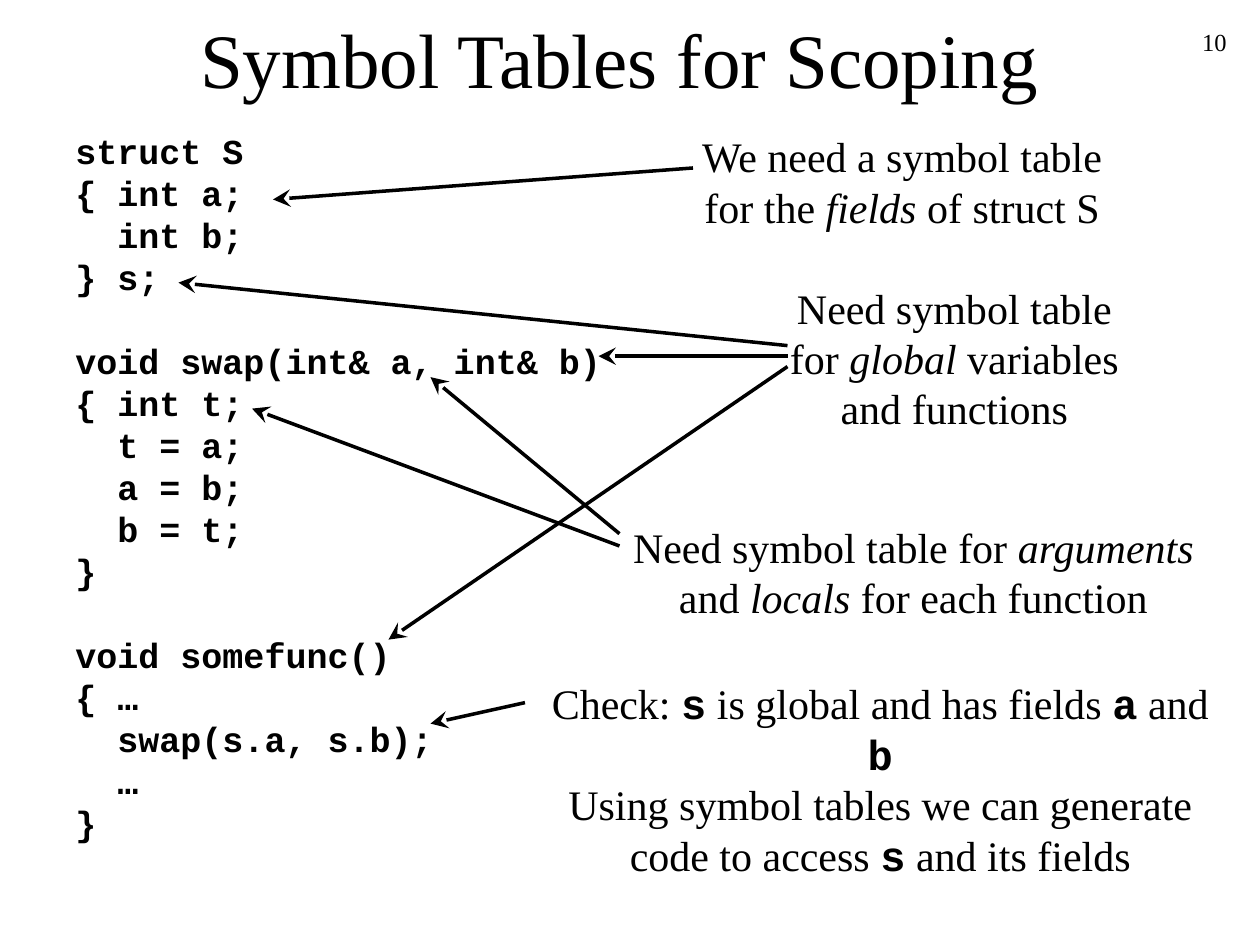
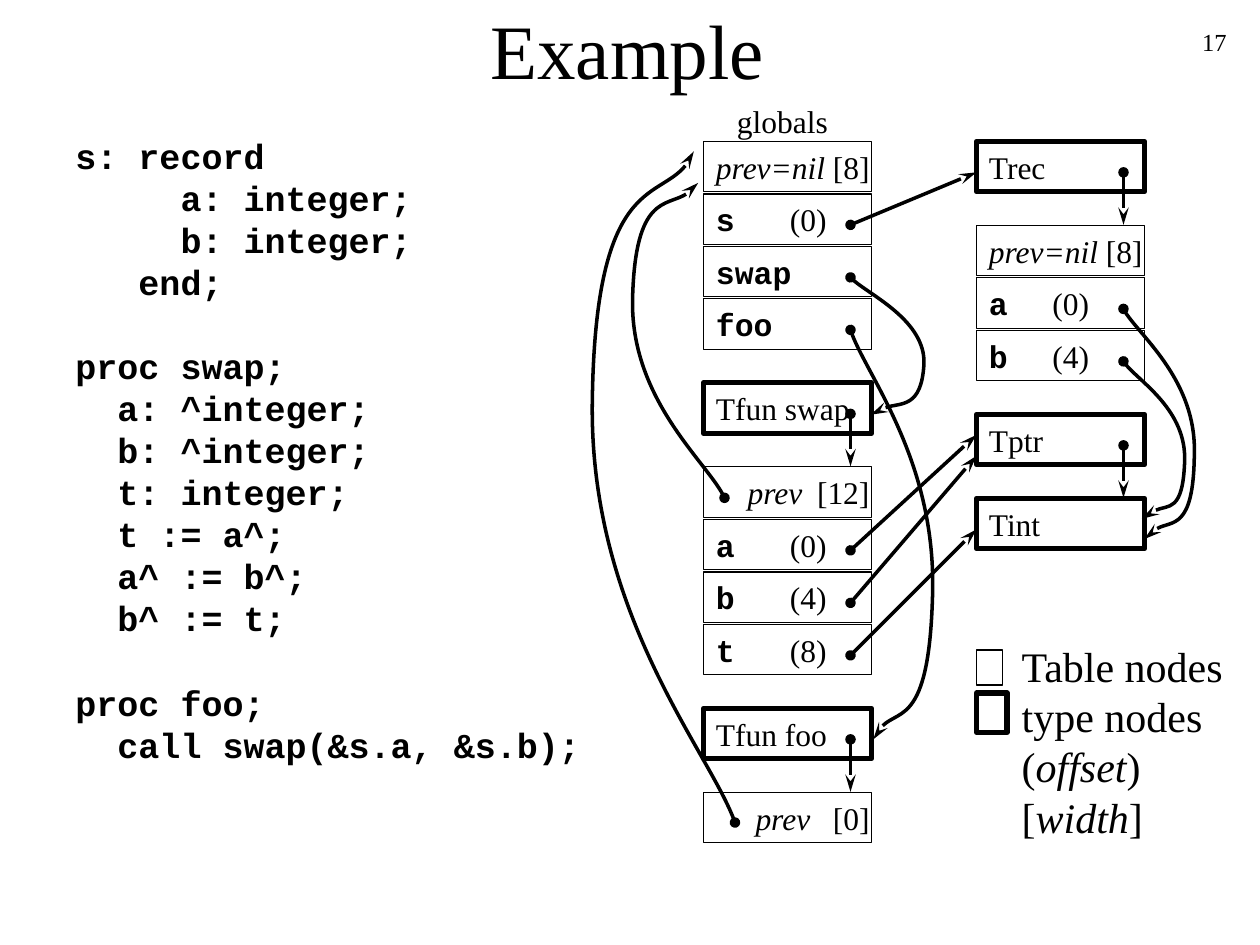
from dataclasses import dataclass
from typing import NamedTuple

from lxml import etree
from pptx import Presentation
from pptx.dml.color import RGBColor
from pptx.enum import shapes as es, text as et
from pptx.oxml import ns
from pptx.util import Pt

INK = {"text": "000000", "line": "000000", "page": "FFFFFF"}
SERIF, MONO = "Times New Roman", "Courier New"
LEFT, MID, RIGHT = et.PP_ALIGN.LEFT, et.PP_ALIGN.CENTER, et.PP_ALIGN.RIGHT
PAD = 3.6


@dataclass(frozen=True)
class Style:
    size: float
    font: str = SERIF
    bold: bool = False
    slant: bool = False
    mark: str = "italic"  # look of the words between asterisks
    fixed: bool = True  # line pitch of 1.2 ems


TITLE = Style(44, fixed=False)
PAGE = Style(14, fixed=False)
CODE = Style(20, MONO, bold=True)
NOTE = Style(24)
CHECK = Style(24, mark="code")
PLAIN = Style(18)
NAME = Style(18, MONO, bold=True)
PREV = Style(18, slant=True)


class Box(NamedTuple):
    x: float
    y: float
    w: float
    h: float


class Cell(NamedTuple):
    """One node of a stack; a type node has a heavy border."""
    label: str
    style: Style
    tag: str = ""
    shift: float = 0


class Stack(NamedTuple):
    x: float
    edge: float  # right edge of the offset column, from x
    cells: list


class Link(NamedTuple):
    x1: float
    y1: float
    x2: float
    y2: float


STRUCT = """struct S
{ int a;
  int b;
} s;

void swap(int& a, int& b)
{ int t;
  t = a;
  a = b;
  b = t;
}

void somefunc()
{ …
  swap(s.a, s.b);
  …
}"""

RECORD = """s: record
     a: integer;
     b: integer;
   end;

proc swap;
  a: ^integer;
  b: ^integer;
  t: integer;
  t := a^;
  a^ := b^;
  b^ := t;

proc foo;
  call swap(&s.a, &s.b);"""

NOTES = [
    (Box(393, 71.3, 245, 64.8), "We need a symbol table\nfor the *fields* of struct S"),
    (Box(354.2, 294.5, 335.5, 64.8),
     "Need symbol table for *arguments*\nand *locals* for each function"),
    (Box(444.2, 157.7, 202.3, 93.6),
     "Need symbol table\nfor *global* variables\nand functions"),
]
FACTS = ("Check: *s* is global and has fields *a* and *b*\n"
         "Using symbol tables we can generate\ncode to access *s* and its fields")

POINTS = [
    Link(396, 96, 156, 114), Link(450, 197.5, 102, 161.5),
    Link(354, 305, 246, 215.5), Link(354, 312, 144, 233.5),
    Link(300, 401.5, 246, 413.5), Link(450, 203.5, 342, 203.5),
    Link(450, 209.5, 222, 365.5),
]

STACKS = [
    Stack(402, 77.5, [
        Cell("prev=nil", PREV, "[8]"), Cell("s", NAME, "(0)"),
        Cell("swap", NAME), Cell("foo", NAME),
        Cell("Tfun swap", PLAIN),
        Cell("prev", PREV, "[12]", 18), Cell("a", NAME, "(0)"),
        Cell("b", NAME, "(4)"), Cell("t", NAME, "(8)"),
        Cell("Tfun foo", PLAIN), Cell("prev", PREV, "[0]", 22.5),
    ]),
    Stack(558, 71.5, [
        Cell("Trec", PLAIN),
        Cell("prev=nil", PREV, "[8]"), Cell("a", NAME, "(0)"),
        Cell("b", NAME, "(4)"),
        Cell("Tptr", PLAIN), Cell("Tint", PLAIN),
    ]),
]
TOP, WIDE, HIGH, STEP, JUMP = 80.8, 96, 28.8, 30, 48

LINKS = [
    Link(486, 128.5, 558, 98.5), Link(486, 314.5, 558, 248.5),
    Link(486, 344.5, 558, 260.5), Link(486, 374.5, 558, 302.5),
] + [Link(x, y, x, y + 30) for x, y in
     [(642, 98.5), (642, 254.5), (486, 236.5), (486, 422.5)]]

CURVES = [
    [(486, 158.5), (493, 166.5), (529, 183.5), (528, 208),
     (526.5, 233.5), (504, 230.5), (497.5, 237)],
    [(486, 188.5), (494, 213), (534, 263), (533, 336.5),
     (531.5, 413.5), (506, 404.5), (499, 422.5)],
    [(642, 176.5), (649, 190), (684, 218), (682.5, 260),
     (682, 303), (659.5, 298), (654, 308)],
    [(642, 206.5), (648, 216), (678, 234.5), (677, 263.5),
     (676, 293), (657.5, 289.5), (652.5, 296.5)],
    [(420, 470), (406, 430), (336, 348.5), (338.5, 227.5),
     (340.5, 101.5), (384.5, 116), (396.5, 86.5)],
    [(414, 284.5), (405.5, 265.5), (360, 227), (361.5, 170.5),
     (363, 111.5), (391, 118), (399, 104.5)],
]


def rgb(key: str) -> RGBColor:
    return RGBColor.from_string(INK[key])


def write(shape, paras: list, style: Style, align=LEFT, shift: float = 0) -> None:
    """Put paragraphs in a shape; words between asterisks are marked."""
    frame = shape.text_frame
    frame.margin_left, frame.margin_right = Pt(2 * PAD + shift), Pt(2 * PAD)
    frame.margin_top = frame.margin_bottom = Pt(PAD)
    frame.text = "\n".join(para.replace("*", "") for para in paras)
    for para, line in zip(paras, frame.paragraphs):
        line.alignment = align
        if style.fixed:
            line.line_spacing = Pt(1.2 * style.size)
        parts = para.split("*")
        if len(parts) > 1:
            line.clear()
            for part in parts:
                line.add_run().text = part
        for i, run in enumerate(line.runs):
            mark = style.mark if len(parts) > 1 and i % 2 else ""
            font = run.font
            font.size = Pt(style.size)
            font.name = MONO if mark == "code" else style.font
            font.bold = style.bold or mark == "code"
            font.italic = style.slant or mark == "italic"
            font.color.rgb = rgb("text")


def label(slide, box: Box, paras: list, style: Style, align=LEFT,
          wrap: bool = False):
    shape = slide.shapes.add_textbox(*map(Pt, box))
    frame = shape.text_frame
    frame.word_wrap = wrap
    frame.auto_size = (et.MSO_AUTO_SIZE.NONE if wrap
                       else et.MSO_AUTO_SIZE.SHAPE_TO_FIT_TEXT)
    write(shape, paras, style, align)
    return shape


def code(slide, box: Box, source: str) -> None:
    """Show each block of code as a paragraph, one line pitch apart."""
    blocks = [block.replace("\n", "\v") for block in source.split("\n\n")]
    shape = label(slide, box, blocks, CODE, wrap=True)
    for para in shape.text_frame.paragraphs[1:]:
        para.space_before = Pt(1.2 * CODE.size)


def rect(slide, box: Box, weight: float):
    shape = slide.shapes.add_shape(es.MSO_SHAPE.RECTANGLE, *map(Pt, box))
    shape.shadow.inherit = False
    shape.fill.background()
    shape.line.color.rgb = rgb("line")
    shape.line.width = Pt(weight)
    return shape


def tips(shape, dot: bool) -> None:
    """Style a line as an arrow; one that starts with a dot has a slimmer head."""
    shape.line.color.rgb = rgb("line")
    shape.line.width = Pt(2)
    stroke = shape.line._get_or_add_ln()
    if dot:
        etree.SubElement(stroke, ns.qn("a:headEnd"), type="oval")
    etree.SubElement(stroke, ns.qn("a:tailEnd"), type="stealth",
                     w="med" if dot else "lg", len="lg")


def arrow(slide, link: Link, dot: bool = False) -> None:
    shape = slide.shapes.add_connector(es.MSO_CONNECTOR.STRAIGHT, *map(Pt, link))
    tips(shape, dot)
    etree.SubElement(shape._element.spPr, ns.qn("a:effectLst"))


def curve(slide, spots: list) -> None:
    """Draw a Bezier arrow: a start, then three points per segment."""
    start, *rest = [(Pt(x), Pt(y)) for x, y in spots]
    maker = slide.shapes.build_freeform(*start)
    maker.add_line_segments(rest, close=False)
    shape = maker.convert_to_shape()
    shape.shadow.inherit = False
    shape.fill.background()
    tips(shape, True)
    lines = list(shape._element.iter(ns.qn("a:lnTo")))
    track = lines[0].getparent()
    for i in range(0, len(lines), 3):
        bend = etree.SubElement(track, ns.qn("a:cubicBezTo"))
        for line in lines[i:i + 3]:
            bend.append(line[0])
            track.remove(line)


def stack(slide, pile: Stack) -> None:
    y, last = TOP, None
    for cell in pile.cells:
        heavy = cell.style is PLAIN
        if last is not None:
            y += JUMP if heavy or last.style is PLAIN else STEP
        shape = rect(slide, Box(pile.x, y, WIDE, HIGH), 3 if heavy else 0.75)
        shape.text_frame.word_wrap = True
        shape.text_frame.vertical_anchor = et.MSO_ANCHOR.TOP
        write(shape, [cell.label], cell.style, shift=cell.shift)
        if cell.tag:
            edge = pile.x + (102 if cell.tag[0] == "[" else pile.edge)
            label(slide, Box(edge - 50, y, 50, HIGH), [cell.tag], PLAIN, RIGHT, True)
        last = cell


def start(deck, title: str, box: Box, page: int):
    """Add a slide with its title and page number."""
    slide = deck.slides.add_slide(deck.slide_layouts[6])
    slide.background.fill.solid()
    slide.background.fill.fore_color.rgb = rgb("page")
    label(slide, Box(558, 12, 150, 36), [str(page)], PAGE, RIGHT, True)
    head = label(slide, box, [title], TITLE, MID, True)
    head.text_frame.vertical_anchor = et.MSO_ANCHOR.MIDDLE
    return slide


def scoping(deck) -> None:
    slide = start(deck, "Symbol Tables for Scoping", Box(48, 0, 612, 65.5), 10)
    code(slide, Box(36, 70.5, 330, 415.4), STRUCT)
    for box, words in NOTES:
        label(slide, box, words.split("\n"), NOTE, MID)
    label(slide, Box(299, 383.8, 408, 122.4), FACTS.split("\n"), CHECK, MID, True)
    for link in POINTS:
        arrow(slide, link)


def example(deck) -> None:
    slide = start(deck, "Example", Box(52.5, 0, 612, 55.5), 17)
    code(slide, Box(36, 73.5, 315, 367.2), RECORD)
    for pile in STACKS:
        stack(slide, pile)
    for link in LINKS:
        arrow(slide, link, dot=True)
    for spots in CURVES:
        curve(slide, spots)
    label(slide, Box(414, 54.7, 66.2, HIGH), ["globals"], PLAIN)
    label(slide, Box(576.7, 362.2, 131, 122.4),
          ["Table nodes", "type nodes", "(*offset*)", "[*width*]"], NOTE)
    rect(slide, Box(558, 396, 17.5, 22.5), 3)
    rect(slide, Box(558, 371.5, 15, 20), 0.75)


def main() -> None:
    deck = Presentation()
    deck.slide_width, deck.slide_height = Pt(720), Pt(540)
    scoping(deck)
    example(deck)
    deck.save("out.pptx")


if __name__ == "__main__":
    main()
